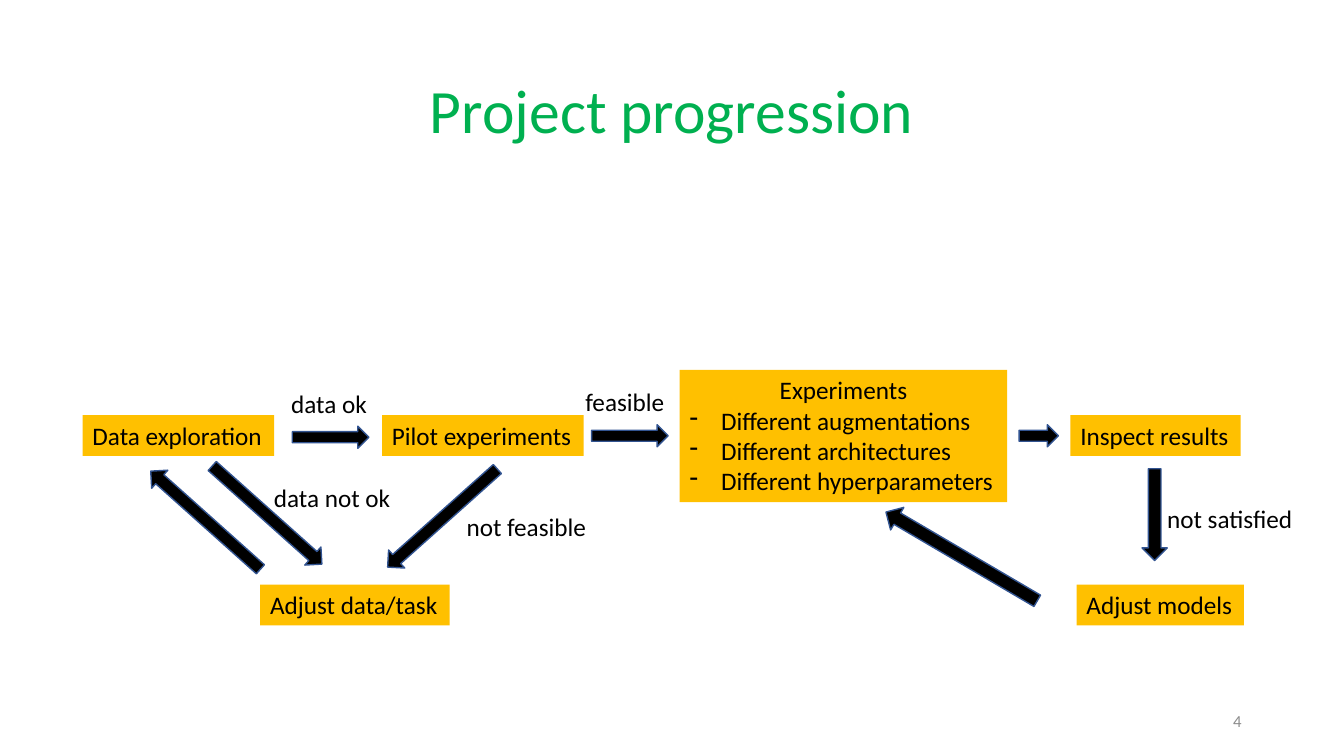
"""Build the project progression flow slide."""
import pptx
import pptx.dml.color
import pptx.enum.shapes
import pptx.enum.text
import pptx.oxml.ns
import pptx.util
from lxml import etree

Pt = pptx.util.Pt
ALIGN = pptx.enum.text.PP_ALIGN
ANCHOR = pptx.enum.text.MSO_ANCHOR
FONT = "Calibri"
BLACK, AMBER, GREEN, GREY, NAVY = "000000", "FFC000", "00B050", "8C8C8C", "325491"
ROW_HEIGHT = 29.1
TOP_ROW, BOTTOM_ROW = 296.6, 417.6

STEPS = [
    ("Data exploration", 59, TOP_ROW, 136.8),
    ("Pilot experiments", 272.9, TOP_ROW, 144),
    ("Inspect results", 764.6, TOP_ROW, 121.7),
    ("Adjust data/task", 185.8, BOTTOM_ROW, 135.4),
    ("Adjust models", 769, BOTTOM_ROW, 119.5),
]
LABELS = [
    ("data ok", 200.9, 273.6, 69.1),
    ("feasible", 411.1, 272.5, 71.3),
    ("data not ok", 188.6, 341.3, 98.6),
    ("not feasible", 326.2, 361.7, 100.8),
    ("not satisfied", 826.6, 355.8, 105.1),
]
ARROWS = [
    (208.8, 304.4, 54.7, 15.8, 0),
    (422.6, 303.4, 54.7, 15.8, 0),
    (727.9, 303.4, 28.1, 15.8, 0),
    (94.3, 362.9, 105.1, 17.3, 221.8),
    (138.2, 359.3, 105.1, 17.3, 41.8),
    (263.5, 361.4, 105.1, 17.3, 138.2),
    (792, 358.6, 65.5, 18, 90),
    (624.2, 388.1, 125.3, 18.7, 210.4),
]
EXPERIMENTS = ["Different augmentations", "Different architectures", "Different hyperparameters"]


def color(value):
    """Turn a hex string into a colour."""
    return pptx.dml.color.RGBColor.from_string(value)


def paint(shape, value):
    """Fill a shape with one colour."""
    shape.fill.solid()
    shape.fill.fore_color.rgb = color(value)


def add_box(page, left, top, width, height, fill=None, wrap=False):
    """Add an empty text box, with an optional fill."""
    box = page.shapes.add_textbox(Pt(left), Pt(top), Pt(width), Pt(height))
    box.text_frame.word_wrap = wrap
    if not wrap:
        box.text_frame.auto_size = pptx.enum.text.MSO_AUTO_SIZE.SHAPE_TO_FIT_TEXT
    if fill:
        paint(box, fill)
    return box


def write(para, text, size=18, ink=BLACK, align=ALIGN.LEFT):
    """Write one run into a paragraph."""
    para.alignment = align
    span = para.add_run()
    span.text = text
    span.font.name = FONT
    span.font.size = Pt(size)
    span.font.color.rgb = color(ink)


def add_dash(para):
    """Give a paragraph a hanging dash bullet."""
    props = para._p.get_or_add_pPr()
    props.set("marL", str(Pt(22.5)))
    props.set("indent", str(-Pt(22.5)))
    etree.SubElement(props, pptx.oxml.ns.qn("a:buFontTx"))
    etree.SubElement(props, pptx.oxml.ns.qn("a:buChar")).set("char", "-")


def add_line_box(page, text, left, top, width, fill=None):
    """Add a one-line box that fits its text."""
    box = add_box(page, left, top, width, ROW_HEIGHT, fill)
    write(box.text_frame.paragraphs[0], text)


def add_heading(page, text):
    """Add the slide title."""
    box = add_box(page, 66, 28.8, 828, 104.4, wrap=True)
    box.text_frame.vertical_anchor = ANCHOR.MIDDLE
    para = box.text_frame.paragraphs[0]
    para.line_spacing = 0.9
    write(para, text, 44, GREEN, ALIGN.CENTER)


def add_page_number(page, number):
    """Add the page number at the bottom right."""
    box = add_box(page, 678, 500.5, 216, 28.8, wrap=True)
    box.text_frame.vertical_anchor = ANCHOR.MIDDLE
    write(box.text_frame.paragraphs[0], number, 12, GREY, ALIGN.RIGHT)


def add_list_box(page, heading, items):
    """Add the experiments box with its dashed list."""
    frame = add_box(page, 485.5, 264.2, 234, 94.5, AMBER).text_frame
    write(frame.paragraphs[0], heading, align=ALIGN.CENTER)
    for item in items:
        para = frame.add_paragraph()
        add_dash(para)
        write(para, item)


def add_arrow(page, left, top, width, height, angle):
    """Add a block arrow turned by an angle."""
    kind = pptx.enum.shapes.MSO_SHAPE.RIGHT_ARROW
    arrow = page.shapes.add_shape(kind, Pt(left), Pt(top), Pt(width), Pt(height))
    arrow.rotation = angle
    arrow.shadow.inherit = False
    paint(arrow, BLACK)
    arrow.line.color.rgb = color(NAVY)
    arrow.line.width = Pt(1)


def main():
    """Build and save the deck."""
    deck = pptx.Presentation()
    deck.slide_width, deck.slide_height = Pt(960), Pt(540)
    page = deck.slides.add_slide(deck.slide_layouts[6])
    add_heading(page, "Project progression")
    for step in STEPS:
        add_line_box(page, *step, fill=AMBER)
    add_list_box(page, "Experiments", EXPERIMENTS)
    for arrow in ARROWS:
        add_arrow(page, *arrow)
    for label in LABELS:
        add_line_box(page, *label)
    add_page_number(page, "4")
    deck.save("out.pptx")


if __name__ == "__main__":
    main()
